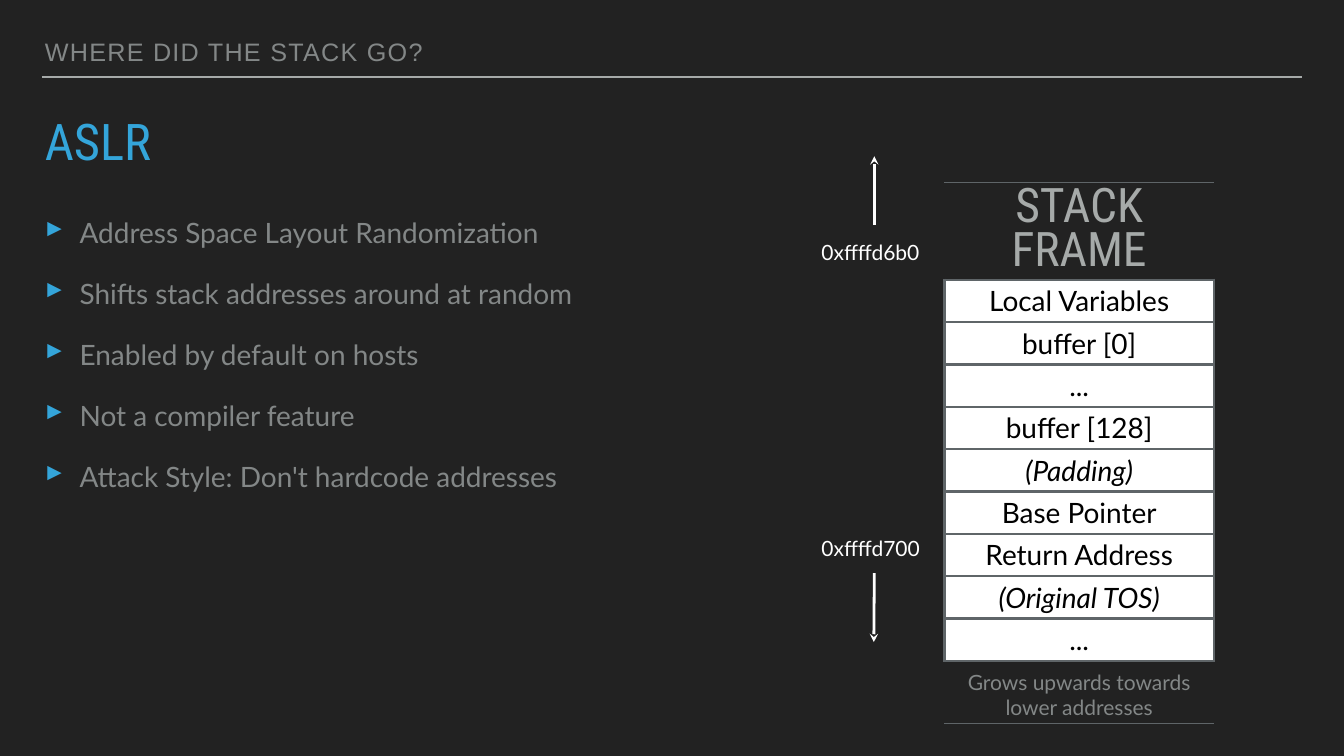
"""Build the slide on address randomization with its stack frame diagram."""
from lxml.etree import SubElement
from pptx import Presentation
from pptx.dml.color import RGBColor
from pptx.enum.shapes import MSO_CONNECTOR as Connector
from pptx.enum.text import MSO_ANCHOR as Anchor, MSO_AUTO_SIZE as AutoSize, PP_ALIGN as Align
from pptx.oxml.ns import qn
from pptx.util import Emu, Pt

SCALE = 9144
SLIDE_SIZE = (2667, 1500)
INSET = 6
BLUE, GREY, LIGHT, WHITE, BLACK, EDGE = "34A5DA", "838787", "A6AAA9", "FFFFFF", "000000", "5F6568"

HEADING = {"size": 36, "name": "Arial", "color": GREY}
TITLE = {"size": 72.2, "name": "Roboto Condensed", "color": BLUE}
BULLET = {"size": 40, "name": "Lato", "color": GREY}
ADDRESS = {"size": 30, "name": "Lato", "color": WHITE}
FRAME_TITLE = {"size": 68, "name": "Roboto Condensed", "color": LIGHT}
FRAME_ROW = {"size": 40, "name": "Lato", "color": BLACK}
FRAME_NOTE = {"size": 30, "name": "Lato", "color": GREY}

TIGHT = {"line_spacing": 0.8}
BULLETS = [
    "Address Space Layout Randomization",
    "Shifts stack addresses around at random",
    "Enabled by default on hosts",
    "Not a compiler feature",
    "Attack Style: Don't hardcode addresses",
]
ADDRESSES = [("0xffffd6b0", (1624, 467, 210, 68)), ("0xffffd700", (1624, 1053, 210, 68))]
RULE = (83, 153, 2583, 153)
ARROWS = [(1735, 446, 1735, 310), (1735, 1137, 1734, 1274)]

FRAME_PLACE = (1874, 362, 535)
FRAME_SLOTS = ["Local Variables", "buffer [0]", "...", "buffer [128]", "(Padding)",
               "Base Pointer", "Return Address", "(Original TOS)", "..."]
SLOT_EDGES = {"L": 4, "R": 4, "T": 4, "B": 4}
FRAME = [
    ("STACK FRAME", 106, FRAME_TITLE, {"T": 2, "B": 4}, None, INSET, TIGHT),
    *[(text, 84, FRAME_ROW | {"italic": text.startswith("(")}, SLOT_EDGES, WHITE, INSET, {})
      for text in FRAME_SLOTS],
    ("Grows upwards towards lower addresses", 125, FRAME_NOTE, {"T": 2, "B": 2}, None, 15, {}),
]


def px(value):
    return Emu(value * SCALE)


def rgb(value):
    return RGBColor.from_string(value)


def set_all(target, values):
    for name, value in values.items():
        setattr(target, name, value)


def write(paragraph, text, style, layout=None):
    set_all(paragraph, layout or {})
    run = paragraph.add_run()
    run.text = text
    values = {"bold": False} | style
    run.font.color.rgb = rgb(values.pop("color"))
    values["size"] = Pt(values["size"])
    set_all(run.font, values)
    return run


def add_box(slide, place, **values):
    box = slide.shapes.add_textbox(*map(px, place))
    margins = {f"margin_{side}": px(INSET) for side in ("left", "top", "right", "bottom")}
    set_all(box.text_frame, margins | {"word_wrap": True} | values)
    return box.text_frame


def add_line(slide, points, color, width, arrow=False):
    line = slide.shapes.add_connector(Connector.STRAIGHT, *map(px, points))
    line.line.color.rgb = rgb(color)
    line.line.width = Pt(width)
    if arrow:
        SubElement(line.line._get_or_add_ln(), qn("a:tailEnd"), type="stealth")
    SubElement(line._element.spPr, qn("a:effectLst"))


def add_bullet(paragraph):
    properties = paragraph._p.get_or_add_pPr()
    properties.set("marL", str(px(69)))
    properties.set("indent", str(px(-69)))
    SubElement(SubElement(properties, qn("a:buClr")), qn("a:srgbClr"), val=BLUE)
    SubElement(properties, qn("a:buSzPct"), val="105000")
    SubElement(properties, qn("a:buChar"), char="▸")


def set_edges(cell, edges):
    properties = cell._tc.get_or_add_tcPr()
    for side in "LRTB":
        line = SubElement(properties, qn(f"a:ln{side}"), w=str(Pt(edges.get(side, 0))))
        if side in edges:
            SubElement(SubElement(line, qn("a:solidFill")), qn("a:srgbClr"), val=EDGE)
        else:
            SubElement(line, qn("a:noFill"))


def add_frame(slide):
    left, top, width = FRAME_PLACE
    height = sum(row[1] for row in FRAME)
    table = slide.shapes.add_table(len(FRAME), 1, *map(px, (left, top, width, height))).table
    set_all(table, {"first_row": False, "horz_banding": False})
    for index, (text, row_height, style, edges, fill, inset_top, layout) in enumerate(FRAME):
        table.rows[index].height = px(row_height)
        cell = table.cell(index, 0)
        set_all(cell, {"vertical_anchor": Anchor.MIDDLE, "margin_left": px(INSET),
                       "margin_right": px(INSET), "margin_top": px(inset_top),
                       "margin_bottom": px(INSET)})
        set_edges(cell, edges)
        if fill:
            cell.fill.solid()
            cell.fill.fore_color.rgb = rgb(fill)
        else:
            cell.fill.background()
        write(cell.text_frame.paragraphs[0], text, style, {"alignment": Align.CENTER} | layout)


def main():
    presentation = Presentation()
    presentation.slide_width, presentation.slide_height = map(px, SLIDE_SIZE)
    slide = presentation.slides.add_slide(presentation.slide_layouts[6])
    slide.background.fill.solid()
    slide.background.fill.fore_color.rgb = rgb("222222")

    add_line(slide, RULE, LIGHT, 2)
    heading = add_box(slide, (83, 69, 2292, 69), vertical_anchor=Anchor.BOTTOM)
    run = write(heading.paragraphs[0], "WHERE DID THE STACK GO?", HEADING, TIGHT)
    run._r.get_or_add_rPr().set("spc", "180")
    title = add_box(slide, (83, 236, 1292, 111))
    write(title.paragraphs[0], "ASLR", TITLE, TIGHT)

    body = add_box(slide, (83, 422, 1292, 939))
    for index, text in enumerate(BULLETS):
        paragraph = body.add_paragraph() if index else body.paragraphs[0]
        add_bullet(paragraph)
        write(paragraph, text, BULLET, {"space_before": Pt(39 if index else 0)})

    add_frame(slide)
    for text, place in ADDRESSES:
        label = add_box(slide, place, vertical_anchor=Anchor.MIDDLE, word_wrap=False,
                        auto_size=AutoSize.SHAPE_TO_FIT_TEXT)
        write(label.paragraphs[0], text, ADDRESS)
    for points in ARROWS:
        add_line(slide, points, WHITE, 4, arrow=True)
    presentation.save("out.pptx")


if __name__ == "__main__":
    main()
